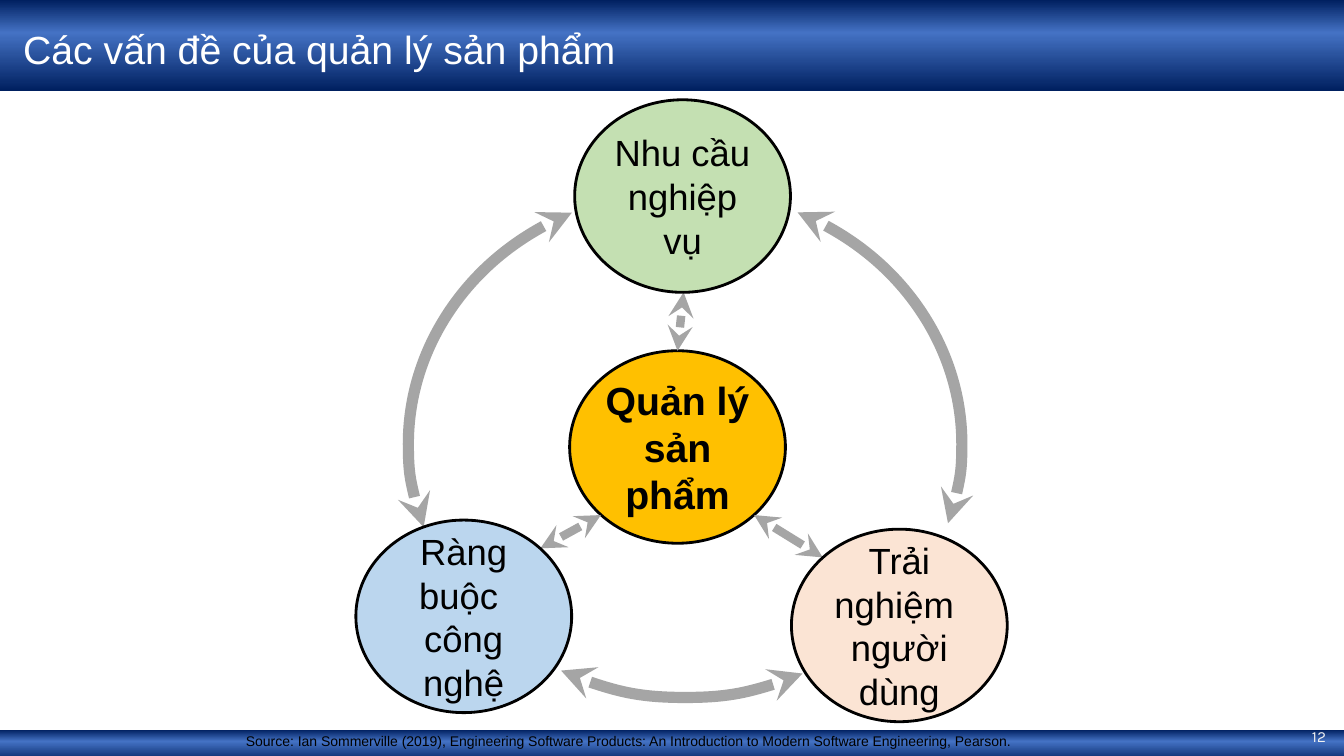
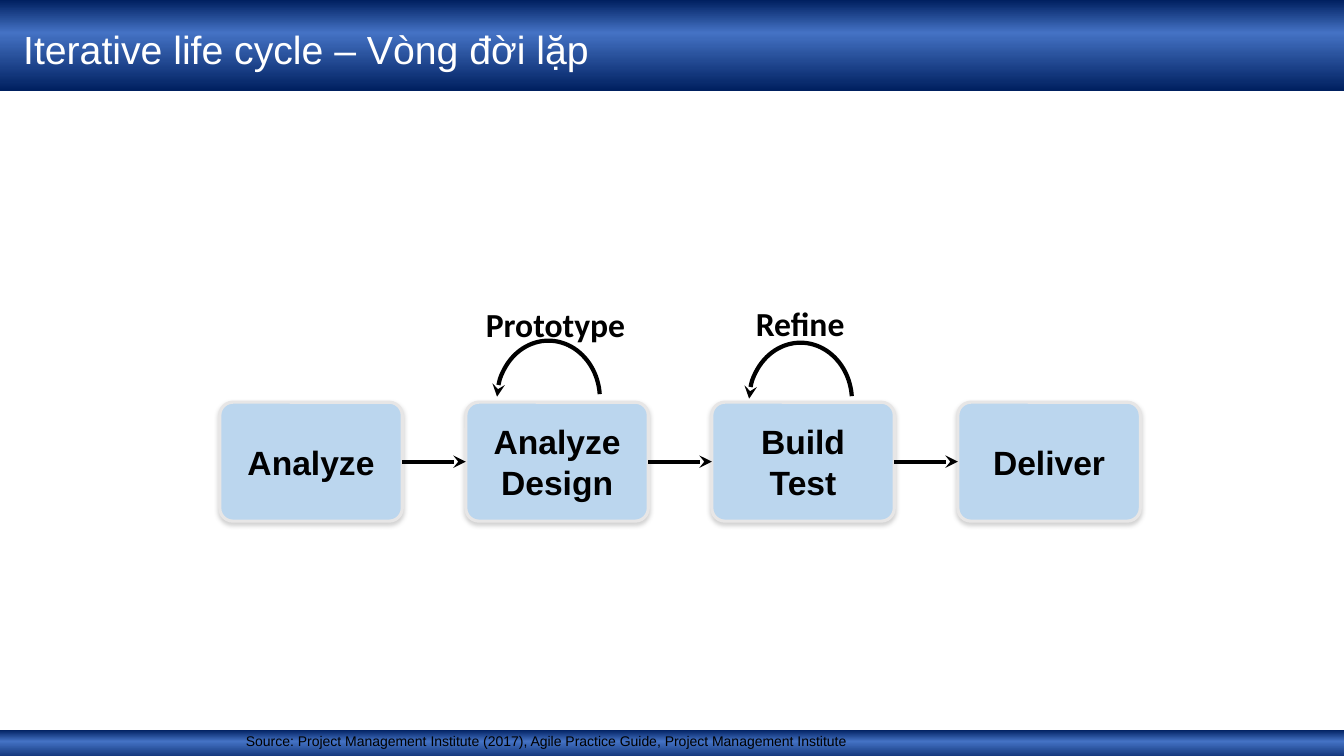
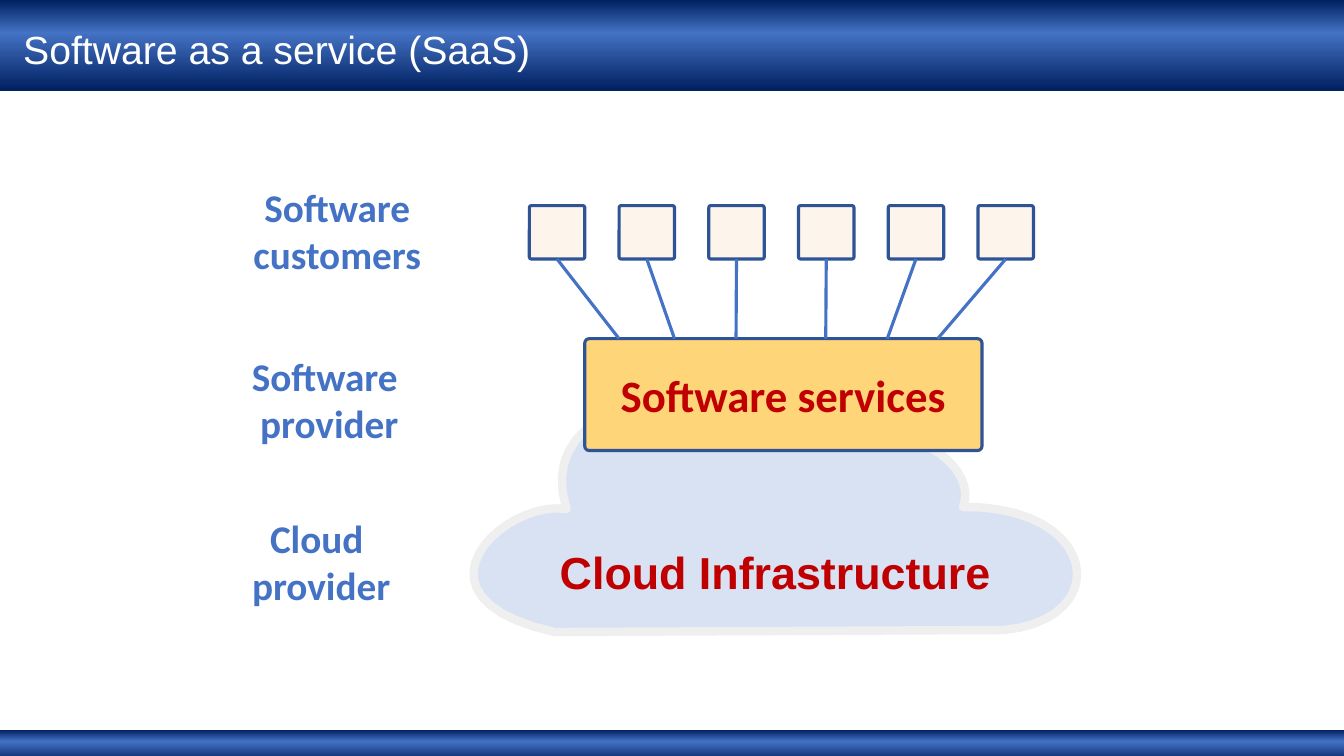
from copy import deepcopy
from dataclasses import dataclass

from pptx import Presentation
from pptx.dml.color import RGBColor as RGB
from pptx.enum.shapes import MSO_CONNECTOR as CONN, MSO_SHAPE as SHAPE
from pptx.enum.text import MSO_ANCHOR as ANCHOR, MSO_AUTO_SIZE as FIT, PP_ALIGN as ALIGN
from pptx.oxml.ns import qn
from pptx.util import Inches, Pt
from lxml.etree import SubElement


@dataclass(frozen=True)
class Theme:
    black: str = "000000"
    white: str = "FFFFFF"
    navy: str = "002060"
    blue: str = "4472C4"
    edge: str = "2F5496"
    grey: str = "A5A5A5"
    pale_grey: str = "E7E6E6"
    cloud_edge: str = "EFEFEF"
    cloud: str = "D8E2F3"
    shadow: str = "808080"
    off_white: str = "F2F2F2"
    gold: str = "FFC000"
    sand: str = "FFD579"
    cream: str = "FDEADA"
    green: str = "C4E0B2"
    sky: str = "BBD6EE"
    peach: str = "FBE4D4"
    red: str = "C00000"
    body: str = "Arial"
    label: str = "Calibri"
    number: str = "Karla"
    title_size: int = 28
    heading_size: int = 32
    circle_size: int = 26
    step_size: int = 24
    page_size: int = 11
    source_size: int = 10


T = Theme()


def bezier(a, b, c, d, steps=20):
    for i in range(1, steps + 1):
        t = i / steps
        u = 1 - t
        yield tuple(u**3 * p + 3 * u * u * t * q + 3 * u * t * t * r + t**3 * s
                    for p, q, r, s in zip(a, b, c, d))


class Deck:
    def __init__(self):
        self.prs = Presentation()
        self.prs.slide_width, self.prs.slide_height = Inches(13.33), Inches(7.5)
        self.layout = self.prs.slide_layouts[5]
        self.s = None

    def add_slide(self, title):
        first = self.s is None
        self.s = self.prs.slides.add_slide(self.layout)
        if first:
            for top, height in ((7.24, 0.32), (0, 0.9)):
                self.band(top, height)
        sp = self.s.shapes.title
        sp.left, sp.top, sp.width, sp.height = map(Inches, (0.13, 0.12, 11.52, 0.78))
        self.fill_text(sp, [title], T.title_size, T.white, align=ALIGN.LEFT,
                       insets=(0.1, 0.05, 0.1, 0.05))
        sp.text_frame.paragraphs[0].line_spacing = 0.9

    def band(self, top, height):
        sp = self.shape(SHAPE.RECTANGLE, (0, top, 13.33, height))
        sp.fill.gradient()
        sp.fill.gradient_angle = 270
        stops = sp.element.spPr.find(".//" + qn("a:gsLst"))
        stops.append(deepcopy(stops[0]))
        for stop, (pos, color) in zip(sp.fill.gradient_stops,
                                      ((0, T.navy), (0.36, T.blue), (1, T.navy))):
            stop.position = pos
            stop.color.rgb = RGB.from_string(color)
        self.layout.shapes.element.insert(2, sp.element)

    def fill_text(self, sp, paragraphs, size, color=T.black, font=T.body, bold=False,
                  align=ALIGN.CENTER, anchor=ANCHOR.MIDDLE, insets=(0, 0, 0, 0)):
        tf = sp.text_frame
        sides = ("margin_left", "margin_top", "margin_right", "margin_bottom")
        frame = {"word_wrap": True, "auto_size": FIT.NONE, "vertical_anchor": anchor,
                 **dict(zip(sides, map(Inches, insets)))}
        for name, value in frame.items():
            setattr(tf, name, value)
        style = {"name": font, "size": Pt(size), "bold": bold}
        for i, text in enumerate(paragraphs):
            p = tf.add_paragraph() if i else tf.paragraphs[0]
            p.text = text
            p.alignment = align
            for r in p.runs:
                for name, value in style.items():
                    setattr(r.font, name, value)
                r.font.color.rgb = RGB.from_string(color)

    def text(self, box, paragraphs, size, **style):
        sp = self.s.shapes.add_textbox(*map(Inches, box))
        self.fill_text(sp, paragraphs, size,
                       **{"anchor": ANCHOR.TOP, "insets": (0.1, 0.05, 0.1, 0.05), **style})

    def source(self, text):
        self.text((2.34, 7.22, 8.58, 0.28), [text], T.source_size, align=ALIGN.LEFT)

    def paint(self, sp, fill=None, line=None, width=0):
        sp.shadow.inherit = False
        if fill:
            sp.fill.solid()
            sp.fill.fore_color.rgb = RGB.from_string(fill)
        else:
            sp.fill.background()
        if line:
            self.stroke(sp, line, width)
        else:
            sp.line.fill.background()
        return sp

    def stroke(self, sp, color, width, head=False, tail=False):
        sp.line.width = Pt(width)
        sp.line.color.rgb = RGB.from_string(color)
        ln = sp.element.spPr.find(qn("a:ln"))
        for tag, shown in (("a:headEnd", head), ("a:tailEnd", tail)):
            if shown:
                SubElement(ln, qn(tag), type="stealth")

    def shape(self, kind, box, fill=None, line=None, width=0, round_by=None):
        sp = self.s.shapes.add_shape(kind, *map(Inches, box))
        if round_by is not None:
            sp.adjustments[0] = round_by
        return self.paint(sp, fill, line, width)

    def circle(self, left, top, fill, paragraphs, size=T.circle_size, bold=False):
        sp = self.shape(SHAPE.OVAL, (left, top, 2.14, 1.91), fill, T.black, 2)
        self.fill_text(sp, paragraphs, size, bold=bold)

    def arc(self, box, start, end, color, width, tail=False):
        sp = self.shape(SHAPE.ARC, box)
        for i, degrees in enumerate((start, end)):
            sp.adjustments[i] = degrees * 0.6
        self.stroke(sp, color, width, head=True, tail=tail)

    def line(self, start, end, color, width, head=False, tail=False, joins=(None, None)):
        sp = self.s.shapes.add_connector(CONN.STRAIGHT, *map(Inches, (*start, *end)))
        for connect, join in zip((sp.begin_connect, sp.end_connect), joins):
            if join:
                connect(*join)
        self.stroke(sp, color, width, head, tail)
        SubElement(sp.element.spPr, qn("a:effectLst"))

    def soft_shadow(self, sp):
        effects = sp.element.spPr.find(qn("a:effectLst"))
        shadow = SubElement(effects, qn("a:outerShdw"), blurRad=str(Pt(3.1)),
                            dist=str(Pt(1.8)), dir="5400000", rotWithShape="0")
        color = SubElement(shadow, qn("a:srgbClr"), val=T.shadow)
        SubElement(color, qn("a:alpha"), val="35000")

    def fade(self, sp, percent):
        color = sp.element.spPr.find(qn("a:solidFill"))[0]
        SubElement(color, qn("a:alpha"), val=str(percent * 1000))

    def outline(self, points, fill, line, width):
        points = [tuple(map(Inches, p)) for p in points]
        builder = self.s.shapes.build_freeform(*points[0], scale=1.0)
        builder.add_line_segments(points[1:], close=True)
        return self.paint(builder.convert_to_shape(), fill, line, width)


def product_issues(d):
    d.add_slide("Các vấn đề của quản lý sản phẩm")
    d.text((12.2, 7.18, 1.05, 0.26), ["12"], T.page_size, color=T.off_white,
           font=T.number, align=ALIGN.RIGHT, anchor=ANCHOR.MIDDLE)
    d.source("Source: Ian Sommerville (2019), Engineering Software Products: "
             "An Introduction to Modern Software Engineering, Pearson.")
    d.circle(5.65, 3.48, T.gold, ["Quản lý sản phẩm"], T.title_size, True)
    for start, end in (((6.72, 3.48), (6.78, 2.9)), ((8.16, 5.53), (7.48, 5.11)),
                       ((5.96, 5.11), (5.36, 5.44))):
        d.line(start, end, T.grey, 6, head=True, tail=True)
    for start, end in ((162.36, 243.92), (62.92, 118.68), (295.9, 16.78)):
        d.arc((4.05, 1.89, 5.49, 5.03), start, end, T.grey, 8, tail=True)
    d.circle(5.7, 0.99, T.green, ["Nhu cầu nghiệp vụ"])
    d.circle(3.53, 5.16, T.sky, ["Ràng buộc ", "công nghệ"])
    d.circle(7.85, 5.25, T.peach, ["Trải nghiệm ", "người dùng"])


def iterative_cycle(d):
    d.add_slide("Iterative life cycle – Vòng đời lặp")
    top, width, height, pitch = 3.99, 1.81, 1.18, 2.44
    before = None
    for i, words in enumerate((["Analyze"], ["Analyze", "Design"],
                               ["Build", "Test"], ["Deliver"])):
        left = 2.18 + i * pitch
        step = d.shape(SHAPE.ROUNDED_RECTANGLE, (left, top, width, height),
                       T.sky, T.pale_grey, 2.25, 0.11)
        d.soft_shadow(step)
        d.fill_text(step, words, T.step_size, bold=True)
        if before:
            middle = top + height / 2
            d.line((left - pitch + width, middle), (left, middle), T.black, 3,
                   tail=True, joins=((before, 3), (step, 1)))
        before = step
    for word, box, left, arc_top in (("Prototype", (4.71, 2.97, 1.6, 0.5), 4.93, 3.38),
                                     ("Refine", (7.39, 2.96, 1.09, 0.5), 7.43, 3.4)):
        d.arc((left, arc_top, 1.02, 1.15), 182.21, 354.97, T.black, 3)
        d.text(box, [word], T.step_size, font=T.label, bold=True)
    d.source("Source: Project Management Institute (2017), Agile Practice Guide, "
             "Project Management Institute")


def software_service(d):
    d.add_slide("Software as a service (SaaS)")
    start, corner = (5.62, 5.05), (9.96, 6.25)
    points = [start, *bezier(start, (5, 4.95), (3.96, 5.93), (5.5, 6.27)), corner]
    for curve in (((11.06, 6.14), (10.89, 5.01), (9.55, 5.03)),
                  ((9.73, 4.59), (8.87, 3.99), (7.86, 4.44)),
                  ((7.16, 3.67), (5.25, 3.9), start)):
        points.extend(bezier(points[-1], *curve))
    cloud = d.outline(points[:-1], T.cloud, T.cloud_edge, 6)
    d.fill_text(cloud, ["Cloud Infrastructure"], T.heading_size, T.red, bold=True,
                insets=(0.1, 1.12, 0.1, 0.05))
    for box, words in (((1.73, 5.05, 2.91, 1.04), "Cloud \nprovider"),
                       ((1.85, 3.45, 2.83, 1.04), "Software \nprovider"),
                       ((1.76, 1.77, 3.17, 1.04), "Software customers")):
        d.text(box, [words], T.title_size, color=T.blue, font=T.label, bold=True)
    services = d.shape(SHAPE.ROUNDED_RECTANGLE, (5.8, 3.36, 3.94, 1.11),
                       T.sand, T.edge, 2.25, 0.04)
    d.fill_text(services, ["Software services"], T.heading_size, T.red, T.label, True)
    top, width, height = 2.04, 0.55, 0.53
    for i, target in enumerate((6.14, 6.69, 7.3, 8.19, 8.8, 9.3)):
        left = 5.25 + i * 0.89
        customer = d.shape(SHAPE.ROUNDED_RECTANGLE, (left, top, width, height),
                           T.cream, T.edge, 2.25, 0.04)
        d.fade(customer, 50)
        d.line((left + width / 2, top + height), (target, 3.36), T.blue, 2.25,
               joins=((customer, 2), None))


def main():
    d = Deck()
    for build in (product_issues, iterative_cycle, software_service):
        build(d)
    d.prs.save("out.pptx")


if __name__ == "__main__":
    main()
